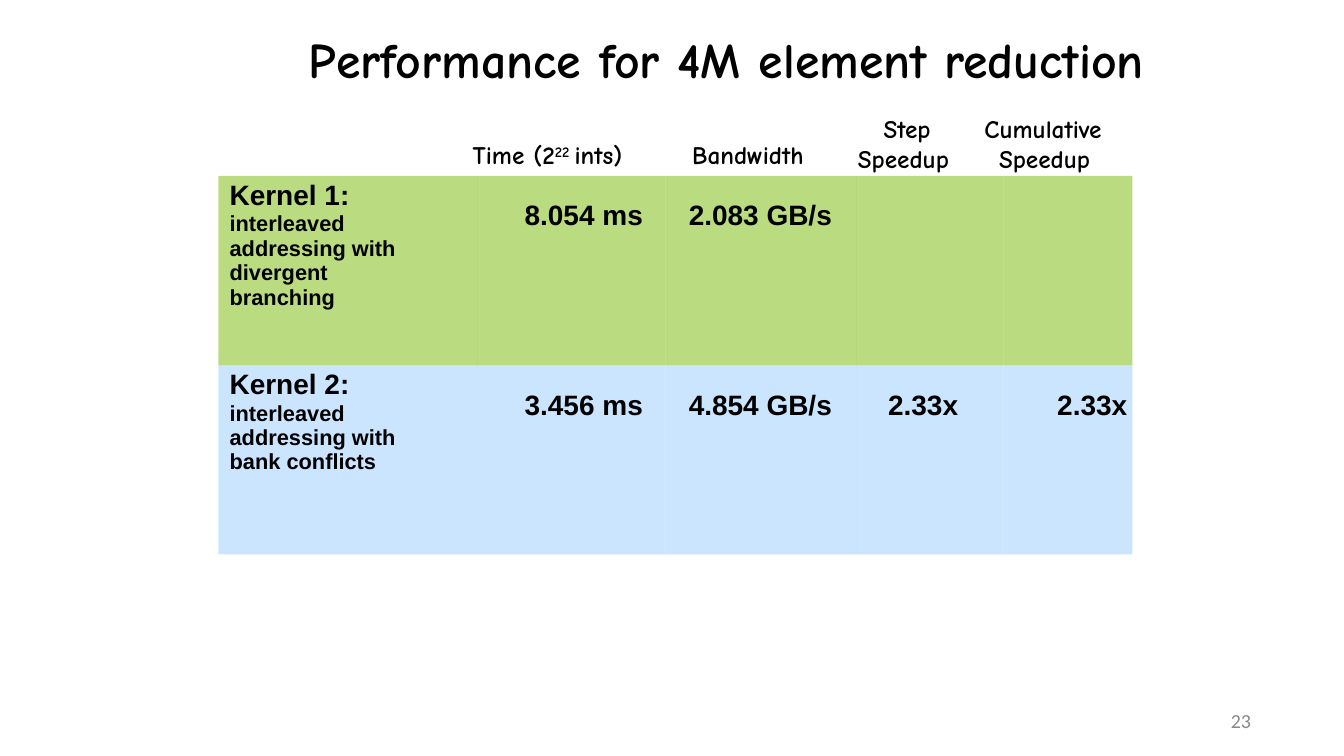
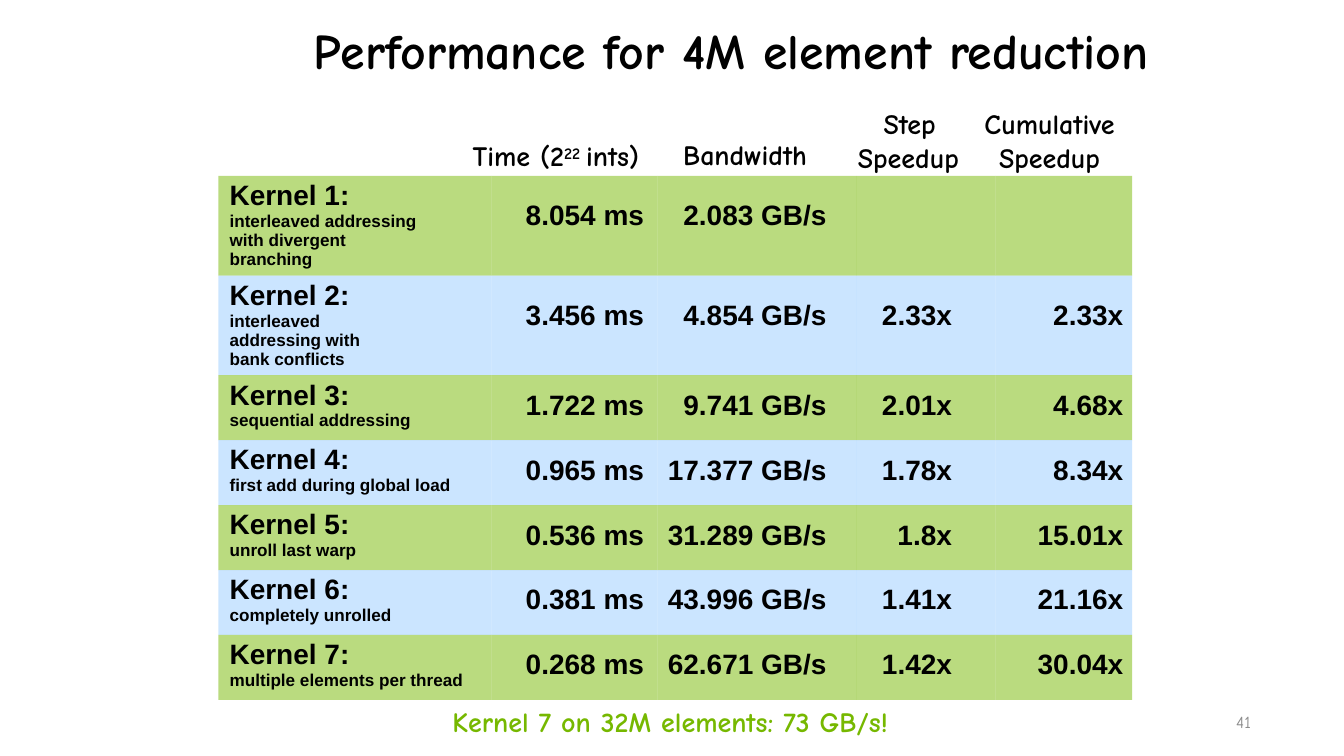
from dataclasses import dataclass

from lxml.etree import SubElement
from pptx import Presentation
from pptx.dml.color import RGBColor
from pptx.enum.text import MSO_ANCHOR, MSO_AUTO_SIZE, PP_ALIGN
from pptx.oxml.ns import qn
from pptx.util import Inches, Pt

COLORS = {
    "text": "000000",
    "green": "76B800",
    "blue": "99CCFF",
    "page": "898989",
    "page_light": "8C8C8C",
}
BANDS = ("green", "blue")
HEADING_FONT = "Comic Neue"
TABLE_FONT = "Arial"
TITLE = "Performance for 4M element reduction"
NO_STYLE = "{2D5ABB26-0587-4C30-8999-92F81FD0307C}"
LEFT, CENTER, RIGHT = PP_ALIGN.LEFT, PP_ALIGN.CENTER, PP_ALIGN.RIGHT


@dataclass
class Box:
    left: float
    top: float
    width: float
    height: float


@dataclass
class Label:
    text: str
    box: Box
    size: float
    indent: float = 0.01
    first: float = 0
    inset: float = 0.01
    font: str = HEADING_FONT
    color: str = "text"
    bold: bool = True
    align: PP_ALIGN = LEFT
    anchor: MSO_ANCHOR = MSO_ANCHOR.TOP
    spacing: float | None = None


@dataclass
class Column:
    width: float
    align: PP_ALIGN = RIGHT
    pad: float = 0


@dataclass
class Kernel:
    detail: str
    values: tuple[str, ...]
    height: float
    value_top: float = 0.13
    detail_pad: float = 0


def write(p, text: str, *, size: float, font: str = TABLE_FONT, color: str = "text",
          bold: bool = True, align: PP_ALIGN = LEFT, indent: float = 0,
          first: float = 0, before: float = 0, spacing: float | None = None) -> None:
    p.alignment = align
    pPr = p._p.get_or_add_pPr()
    pPr.set("marL", str(Inches(indent)))
    pPr.set("indent", str(Inches(first)))
    if before:
        p.space_before = Pt(before)
    if spacing:
        p.line_spacing = Pt(spacing)
    for i, part in enumerate(text.split("^")):
        r = p.add_run()
        r.text = part
        r.font.name = font
        r.font.size = Pt(size)
        r.font.bold = bold
        r.font.color.rgb = RGBColor.from_string(COLORS[color])
        if i % 2:
            r._r.get_or_add_rPr().set("baseline", "25000")


def fill_label(sp, label: Label) -> None:
    box = label.box
    sp.left, sp.top = Inches(box.left), Inches(box.top)
    sp.width, sp.height = Inches(box.width), Inches(box.height)
    tf = sp.text_frame
    tf.word_wrap = True
    tf.auto_size = MSO_AUTO_SIZE.NONE
    tf.vertical_anchor = label.anchor
    tf.margin_left = tf.margin_right = tf.margin_bottom = 0
    tf.margin_top = Inches(label.inset)
    write(tf.paragraphs[0], label.text, size=label.size, font=label.font,
          color=label.color, bold=label.bold, align=label.align,
          indent=label.indent, first=label.first, spacing=label.spacing)


def add_label(s, label: Label) -> None:
    fill_label(s.shapes.add_textbox(0, 0, 0, 0), label)


def add_headings(s, size: float, boxes: tuple[Box, ...]) -> None:
    time, bandwidth, step, cumulative = boxes
    add_label(s, Label("Time (2^22 ^ints)", time, size, indent=0.04))
    add_label(s, Label("Bandwidth", bandwidth, size))
    add_label(s, Label("Step Speedup", step, size, first=0.23))
    add_label(s, Label("Cumulative Speedup", cumulative, size, indent=0.14, first=-0.13))


def add_page_number(s, number: int, box: Box, *, size: float, font: str, color: str) -> None:
    add_label(s, Label(str(number), box, size, inset=0, font=font, color=color,
                       bold=False, align=RIGHT, anchor=MSO_ANCHOR.MIDDLE, spacing=14.2))


def shade(cell, color: str) -> None:
    cell.fill.solid()
    cell.fill.fore_color.rgb = RGBColor.from_string(COLORS[color])
    srgb = cell._tc.tcPr.find(".//" + qn("a:srgbClr"))
    SubElement(srgb, qn("a:alpha")).set("val", "50000")


def add_kernel_table(s, columns: list[Column], kernels: list[Kernel], detail_size: float) -> None:
    width = sum(c.width for c in columns)
    height = sum(k.height for k in kernels)
    frame = s.shapes.add_table(len(kernels), len(columns), Inches(1.95), Inches(1.57),
                               Inches(width), Inches(height))
    table = frame.table
    table.first_row = table.horz_banding = False
    table._tbl.tblPr.find(qn("a:tableStyleId")).text = NO_STYLE
    for i, column in enumerate(columns):
        table.columns[i].width = Inches(column.width)
    for row, kernel in enumerate(kernels):
        table.rows[row].height = Inches(kernel.height)
        for i, column in enumerate(columns):
            cell = table.cell(row, i)
            cell.margin_left = cell.margin_right = cell.margin_bottom = 0
            shade(cell, BANDS[row % 2])
            if i == 0:
                cell.margin_top = Inches(0.04)
                cell.margin_right = Inches(kernel.detail_pad)
                tf = cell.text_frame
                write(tf.paragraphs[0], f"Kernel {row + 1}:", size=18, indent=0.1)
                write(tf.add_paragraph(), kernel.detail, size=detail_size,
                      indent=0.1, before=0.2)
            elif i <= len(kernel.values):
                cell.margin_top = Inches(kernel.value_top)
                if column.align == RIGHT:
                    cell.margin_right = Inches(column.pad)
                else:
                    cell.margin_left = Inches(column.pad)
                write(cell.text_frame.paragraphs[0], kernel.values[i - 1],
                      size=18, align=column.align)


def add_slide(prs, title_box: Box):
    s = prs.slides.add_slide(prs.slide_layouts[5])
    fill_label(s.shapes.title, Label(TITLE, title_box, 32, align=CENTER,
                                     anchor=MSO_ANCHOR.MIDDLE))
    return s


DIVERGENT = "interleaved addressing with divergent branching"
CONFLICTS = "interleaved addressing with bank conflicts"
FIRST = ("8.054 ms", "2.083 GB/s")
SECOND = ("3.456 ms", "4.854 GB/s", "2.33x", "2.33x")


def first_results(prs) -> None:
    s = add_slide(prs, Box(1.33, 0.24, 10.31, 0.55))
    columns = [Column(2.31), Column(1.68, RIGHT, 0.2), Column(1.71, LEFT, 0.21),
               Column(1.31, LEFT, 0.28), Column(1.15, LEFT, 0.48)]
    kernels = [Kernel(DIVERGENT, FIRST, 1.69, 0.22, 0.62),
               Kernel(CONFLICTS, SECOND, 1.69, 0.22, 0.62)]
    add_kernel_table(s, columns, kernels, 14)
    add_headings(s, 16.2, (Box(4.18, 1.23, 1.54, 0.56), Box(6.17, 1.23, 1.18, 0.29),
                           Box(7.65, 1, 0.98, 0.56), Box(8.78, 1, 1.23, 0.56)))
    add_page_number(s, 23, Box(8.47, 6.26, 2.7, 0.36), size=12.8,
                    font="Calibri", color="page")


def all_results(prs) -> None:
    s = add_slide(prs, Box(1.25, 0.16, 10.55, 0.55))
    add_label(s, Label("Kernel 7 on 32M elements: 73 GB/s!", Box(4.03, 6.3, 4.97, 0.29),
                       18, inset=0, color="green", spacing=20.9))
    columns = [Column(2.44), Column(1.48, RIGHT, 0.12), Column(1.78, RIGHT, 0.27),
               Column(1.24, RIGHT, 0.39), Column(1.22, RIGHT, 0.08)]
    later = [
        ("sequential addressing", ("1.722 ms", "9.741 GB/s", "2.01x", "4.68x")),
        ("first add during global load", ("0.965 ms", "17.377 GB/s", "1.78x", "8.34x")),
        ("unroll last warp", ("0.536 ms", "31.289 GB/s", "1.8x", "15.01x")),
        ("completely unrolled", ("0.381 ms", "43.996 GB/s", "1.41x", "21.16x")),
        ("multiple elements per thread", ("0.268 ms", "62.671 GB/s", "1.42x", "30.04x")),
    ]
    kernels = [Kernel(DIVERGENT, FIRST, 0.89, 0.22, 0.62),
               Kernel(CONFLICTS, SECOND, 0.89, 0.22, 1)]
    kernels += [Kernel(detail, values, 0.58) for detail, values in later]
    add_kernel_table(s, columns, kernels, 11)
    add_headings(s, 18, (Box(4.18, 1.23, 1.98, 0.32), Box(6.09, 1.22, 1.41, 0.32),
                         Box(7.65, 0.94, 1.13, 0.62), Box(8.78, 0.94, 1.49, 0.62)))
    add_page_number(s, 41, Box(8.47, 6.34, 2.7, 0.19), size=10.8,
                    font=HEADING_FONT, color="page_light")


def main() -> None:
    prs = Presentation()
    prs.slide_width, prs.slide_height = Inches(12), Inches(6.75)
    first_results(prs)
    all_results(prs)
    prs.save("out.pptx")


if __name__ == "__main__":
    main()
